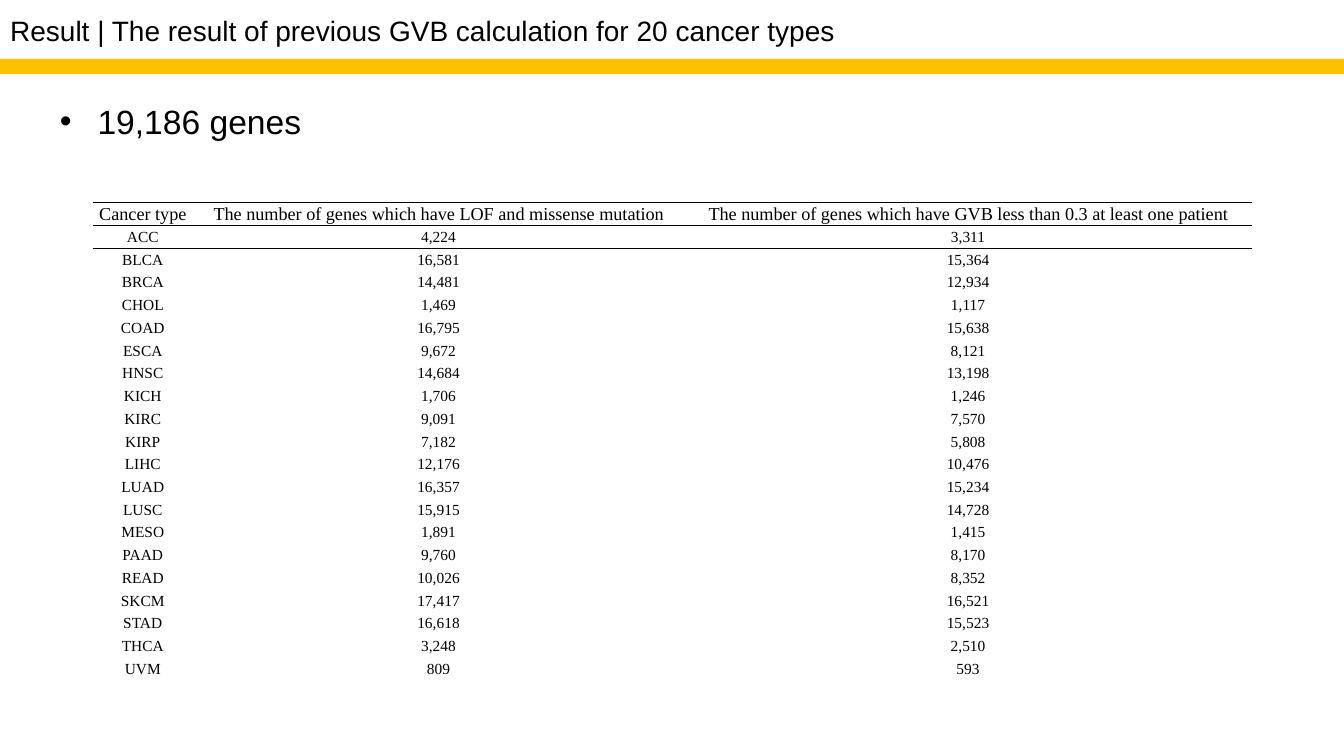
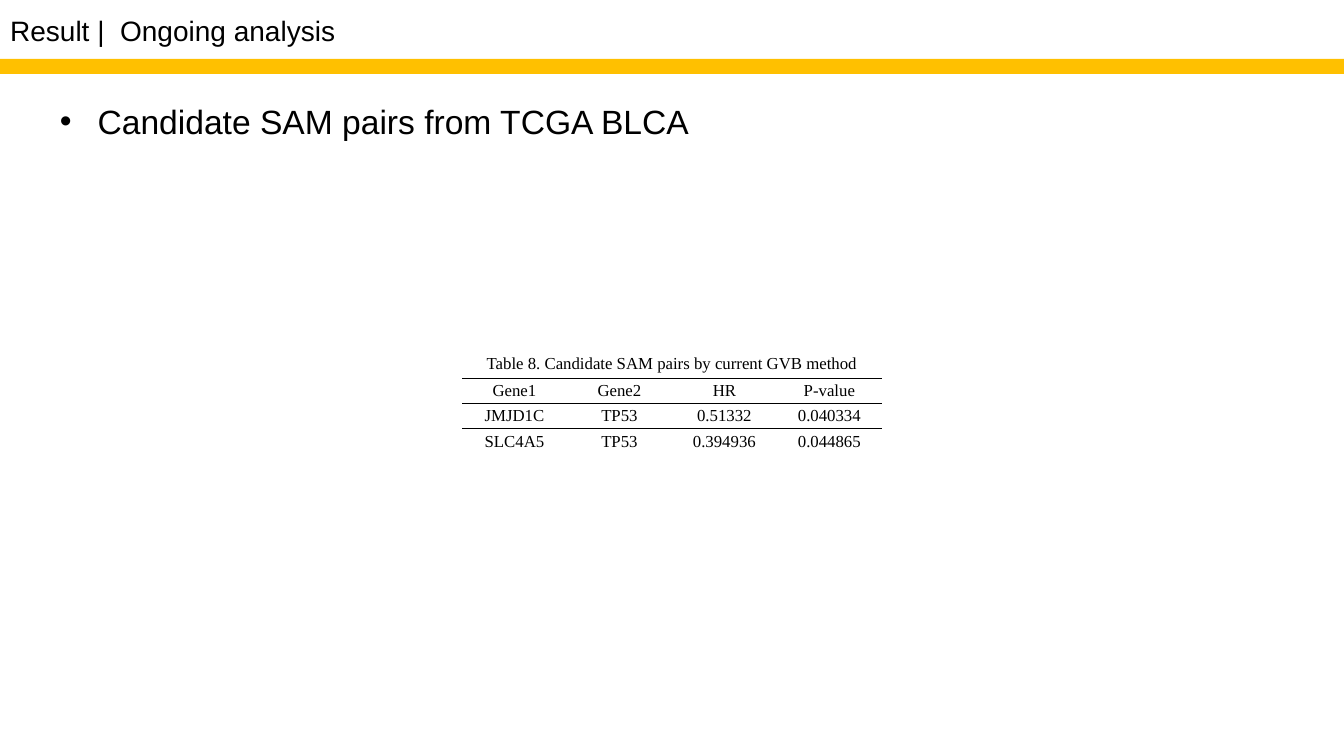
from lxml import etree
from pptx import Presentation
from pptx.dml.color import RGBColor
from pptx.enum.shapes import MSO_SHAPE
from pptx.enum.text import MSO_ANCHOR, MSO_AUTO_SIZE, PP_ALIGN
from pptx.oxml.ns import qn
from pptx.util import Pt

BLACK = RGBColor(0x00, 0x00, 0x00)
AMBER = RGBColor(0xFF, 0xC0, 0x00)
SANS, SERIF = "Arial", "Times New Roman"
SLIDE_W, SLIDE_H = 960, 540
NO_GRID_STYLE = "{2D5ABB26-0587-4C30-8999-92F81FD0307C}"
CELL_MARGINS = {"margin_left": 0.75, "margin_right": 0.75,
                "margin_top": 0.75, "margin_bottom": 0}

GENE_COUNTS = [
    ("Cancer type", "The number of genes which have LOF and missense mutation",
     "The number of genes which have GVB less than 0.3 at least one patient"),
    ("ACC", "4,224", "3,311"),
    ("BLCA", "16,581", "15,364"),
    ("BRCA", "14,481", "12,934"),
    ("CHOL", "1,469", "1,117"),
    ("COAD", "16,795", "15,638"),
    ("ESCA", "9,672", "8,121"),
    ("HNSC", "14,684", "13,198"),
    ("KICH", "1,706", "1,246"),
    ("KIRC", "9,091", "7,570"),
    ("KIRP", "7,182", "5,808"),
    ("LIHC", "12,176", "10,476"),
    ("LUAD", "16,357", "15,234"),
    ("LUSC", "15,915", "14,728"),
    ("MESO", "1,891", "1,415"),
    ("PAAD", "9,760", "8,170"),
    ("READ", "10,026", "8,352"),
    ("SKCM", "17,417", "16,521"),
    ("STAD", "16,618", "15,523"),
    ("THCA", "3,248", "2,510"),
    ("UVM", "809", "593"),
]
SAM_PAIRS = [
    ("Gene1", "Gene2", "HR", "P-value"),
    ("JMJD1C", "TP53", "0.51332", "0.040334"),
    ("SLC4A5", "TP53", "0.394936", "0.044865"),
]
PAGES = [
    {"title": "Result | The result of previous GVB calculation for 20 cancer types",
     "bullet": "19,186 genes", "bullet_width": 924.5,
     "rows": GENE_COUNTS, "left": 66.25, "top": 144.5,
     "widths": [71.5, 351, 405.5], "row_height": 16.25,
     "head_size": 13, "size": 11},
    {"title": "Result |  Ongoing analysis",
     "bullet": "Candidate SAM pairs from TCGA BLCA", "bullet_width": 816.5,
     "rows": SAM_PAIRS, "left": 330, "top": 270,
     "widths": [75] * 4, "row_height": 18,
     "head_size": 12, "size": 12,
     "caption": "Table 8. Candidate SAM pairs by current GVB method"},
]


def write(frame, text, font, size, align, line_spacing=1.0):
    frame.text = text
    paragraph = frame.paragraphs[0]
    paragraph.alignment = align
    paragraph.line_spacing = line_spacing
    paragraph.space_before = Pt(0)
    run_font = paragraph.runs[0].font
    run_font.name, run_font.size, run_font.bold = font, Pt(size), False
    run_font.color.rgb = BLACK


def add_rule(cell, side):
    """Draw a thin black border on one side of a cell: lnT or lnB."""
    line = etree.SubElement(cell._tc.get_or_add_tcPr(), qn(f"a:{side}"), w=str(Pt(0.5)))
    fill = etree.SubElement(line, qn("a:solidFill"))
    etree.SubElement(fill, qn("a:srgbClr"), val=str(BLACK))


prs = Presentation()
prs.slide_width, prs.slide_height = Pt(SLIDE_W), Pt(SLIDE_H)

for page in PAGES:
    slide = prs.slides.add_slide(prs.slide_layouts[1])

    title, bullet = slide.placeholders
    title.left, title.top, title.width, title.height = Pt(0), Pt(0), Pt(SLIDE_W), Pt(46)
    title.text_frame.auto_size = MSO_AUTO_SIZE.NONE
    title.text_frame.vertical_anchor = MSO_ANCHOR.MIDDLE
    write(title.text_frame, page["title"], SANS, 20, PP_ALIGN.LEFT, 0.9)

    bullet.left, bullet.top = Pt(35.5), Pt(68.5)
    bullet.width, bullet.height = Pt(page["bullet_width"]), Pt(36)
    bullet.text_frame.auto_size = MSO_AUTO_SIZE.SHAPE_TO_FIT_TEXT
    write(bullet.text_frame, page["bullet"], SANS, 24, PP_ALIGN.LEFT)

    band = slide.shapes.add_shape(MSO_SHAPE.RECTANGLE, Pt(0), Pt(42), Pt(SLIDE_W), Pt(10.8))
    band.shadow.inherit = False
    band.fill.solid()
    band.fill.fore_color.rgb = AMBER
    band.line.fill.background()

    rows, widths = page["rows"], page["widths"]
    table = slide.shapes.add_table(
        len(rows), len(widths), Pt(page["left"]), Pt(page["top"]),
        Pt(sum(widths)), Pt(page["row_height"] * len(rows))).table
    table.first_row = table.horz_banding = False
    table._tbl.tblPr.find(qn("a:tableStyleId")).text = NO_GRID_STYLE
    for column, width in zip(table.columns, widths):
        column.width = Pt(width)
    for r, values in enumerate(rows):
        table.rows[r].height = Pt(page["row_height"])
        for c, value in enumerate(values):
            cell = table.cell(r, c)
            for margin, points in CELL_MARGINS.items():
                setattr(cell, margin, Pt(points))
            cell.vertical_anchor = MSO_ANCHOR.MIDDLE
            write(cell.text_frame, value, SERIF,
                  page["size"] if r else page["head_size"], PP_ALIGN.CENTER)
            if r < 2:
                add_rule(cell, "lnT")
            if r == 0:
                add_rule(cell, "lnB")
            cell.fill.background()

    if "caption" in page:
        caption = slide.shapes.add_textbox(
            Pt(page["left"]), Pt(page["top"] - 21.75), Pt(sum(widths)), Pt(21.75))
        caption.text_frame.word_wrap = True
        caption.text_frame.auto_size = MSO_AUTO_SIZE.SHAPE_TO_FIT_TEXT
        write(caption.text_frame, page["caption"], SERIF, 12, PP_ALIGN.CENTER)

prs.save("out.pptx")
